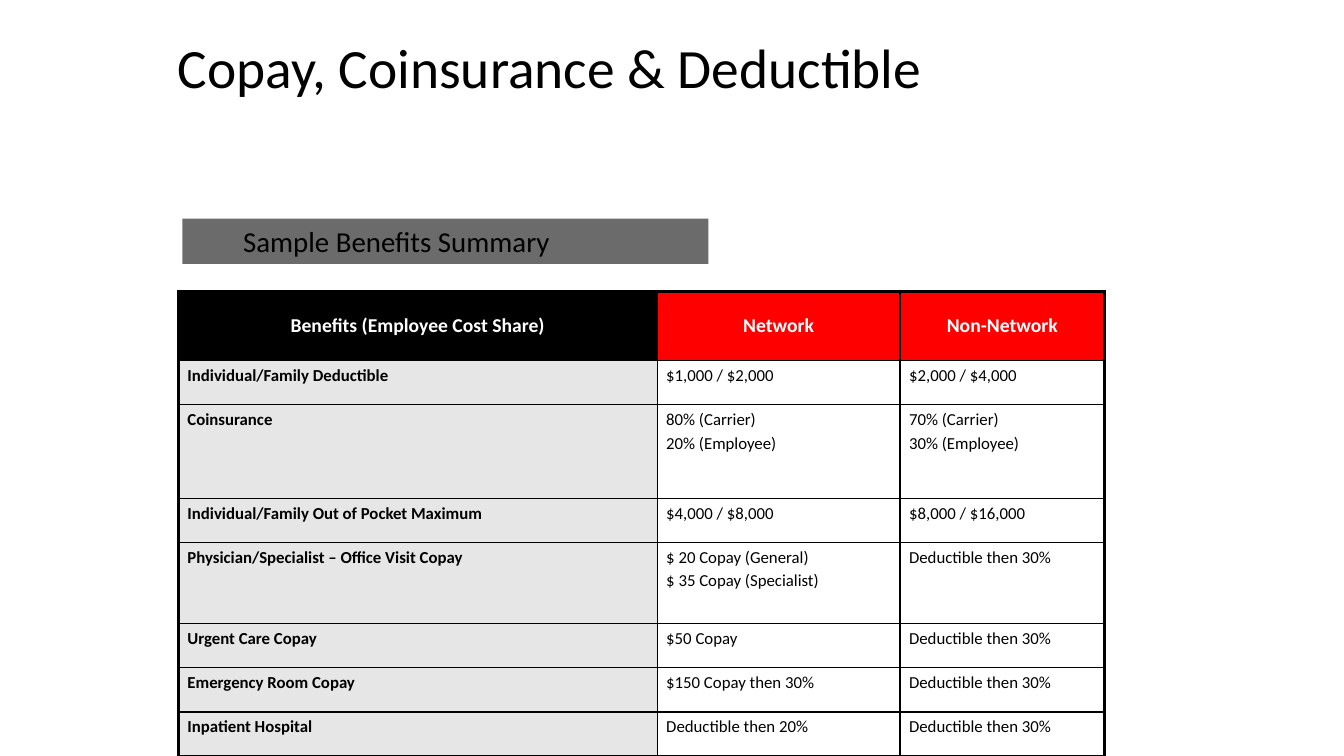
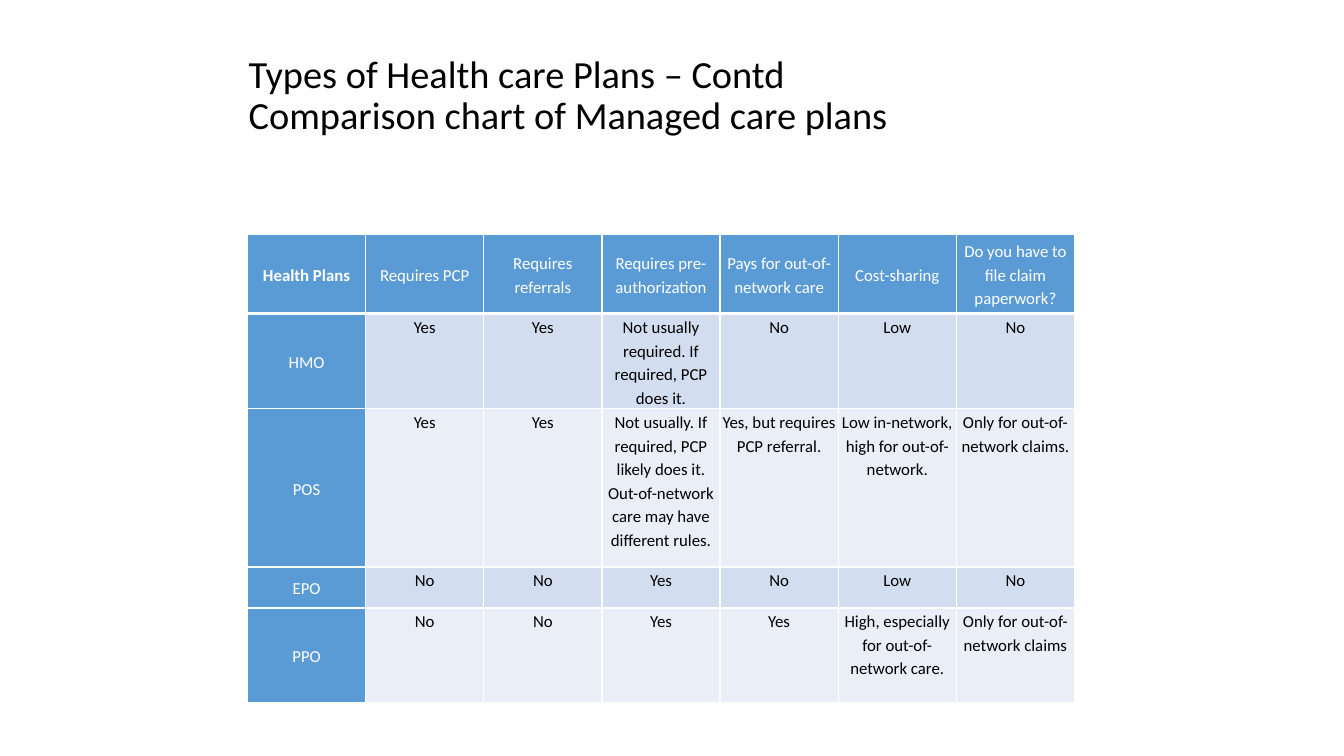
from lxml import etree
from pptx import Presentation
from pptx import util as u
from pptx.dml import color
from pptx.enum import shapes, text
from pptx.oxml import ns

FONT = "Calibri"
BLACK, WHITE, RED = "000000", "FFFFFF", "FF0000"
BANNER, LABEL = "6B6B6B", "E7E6E6"
BLUE, BANDS = "5B9BD5", ("D2DEEF", "EAEFF7")
CENTER, LEFT = text.PP_ALIGN.CENTER, text.PP_ALIGN.LEFT
MIDDLE, TOP = text.MSO_ANCHOR.MIDDLE, text.MSO_ANCHOR.TOP

BENEFITS = [
    ["Benefits (Employee Cost Share)", "Network", "Non-Network"],
    ["Individual/Family Deductible", "$1,000 / $2,000", "$2,000 / $4,000"],
    ["Coinsurance", "80% (Carrier)\n20% (Employee)", "70% (Carrier)\n30% (Employee)"],
    ["Individual/Family Out of Pocket Maximum", "$4,000 / $8,000", "$8,000 / $16,000"],
    ["Physician/Specialist – Office Visit Copay",
     "$ 20 Copay (General)\n$ 35 Copay (Specialist)", "Deductible then 30%"],
    ["Urgent Care Copay", "$50 Copay", "Deductible then 30%"],
    ["Emergency Room Copay", "$150 Copay then 30%", "Deductible then 30%"],
    ["Inpatient Hospital", "Deductible then 20%", "Deductible then 30%"],
]
PLANS = [
    ["Health Plans", "Requires PCP", "Requires referrals", "Requires pre-authorization",
     "Pays for out-of-network care", "Cost-sharing", "Do you have to file claim paperwork?"],
    ["HMO", "Yes", "Yes", "Not usually required. If required, PCP does it.", "No", "Low", "No"],
    ["POS", "Yes", "Yes",
     "Not usually. If required, PCP likely does it. Out-of-network care may have different rules.",
     "Yes, but requires PCP referral.", "Low in-network, high for out-of-network.",
     "Only for out-of-network claims."],
    ["EPO", "No", "No", "Yes", "No", "Low", "No"],
    ["PPO", "No", "No", "Yes", "Yes", "High, especially for out-of-network care.",
     "Only for out-of-network claims"],
]


def rgb(value):
    return color.RGBColor.from_string(value)


def benefit_style(row, col):
    last = len(BENEFITS[0]) - 1
    style = dict(fill=LABEL if col == 0 else None, bold=col == 0, gap=2.4, inset=(6.5, 3.2),
                 edge=BLACK, widths=(2.25 if col == 0 else 1, 2.25 if col == last else 1,
                                     2.25 if row == 0 else 1, 1))
    if row == 0:
        style.update(fill=RED if col else BLACK, ink=WHITE, size=14, bold=True,
                     align=CENTER, anchor=MIDDLE)
    return style


def plan_style(row, col):
    heading = row == 0 or col == 0
    return dict(fill=BLUE if heading else BANDS[(row - 1) % 2], ink=WHITE if heading else BLACK,
                bold=row == col == 0, align=CENTER, anchor=MIDDLE if heading else TOP,
                spacing=1.15, inset=(0.7, 0.7), edge=WHITE, widths=(1, 1, 1, 3 if row == 0 else 1))


class Slides:
    """Holds the deck style and the current page."""

    def __init__(self):
        self.deck = Presentation()
        self.deck.slide_width, self.deck.slide_height = u.Pt(960), u.Pt(540)

    def new_page(self):
        self.page = self.deck.slides.add_slide(self.deck.slide_layouts[6])

    def span(self, para, words, size, ink=BLACK, bold=False):
        span = para.add_run()
        span.text = words
        font = span.font
        font.name, font.size, font.bold = FONT, u.Pt(size), bold
        font.color.rgb = rgb(ink)

    def title(self, lines, left, top, width, height, size):
        box = self.page.shapes.add_textbox(u.Pt(left), u.Pt(top), u.Pt(width), u.Pt(height))
        frame = box.text_frame
        frame.word_wrap, frame.vertical_anchor = True, MIDDLE
        para = frame.paragraphs[0]
        para.line_spacing = 0.9
        for index, line in enumerate(lines):
            if index:
                para.add_line_break()
            self.span(para, line, size)

    def banner(self, words, left, top, width, height, right_inset):
        box = self.page.shapes.add_shape(shapes.MSO_SHAPE.RECTANGLE, u.Pt(left), u.Pt(top),
                                         u.Pt(width), u.Pt(height))
        box.shadow.inherit = False
        box.fill.solid()
        box.fill.fore_color.rgb = rgb(BANNER)
        box.line.fill.background()
        frame = box.text_frame
        frame.word_wrap, frame.vertical_anchor = True, MIDDLE
        frame.margin_right = u.Pt(right_inset)
        frame.paragraphs[0].alignment = CENTER
        self.span(frame.paragraphs[0], words, 20.6)

    def borders(self, cell, edge, widths):
        props = cell._tc.get_or_add_tcPr()
        for side, width in zip("LRTB", widths):
            line = etree.SubElement(props, ns.qn("a:ln" + side), w=str(u.Pt(width)))
            fill = etree.SubElement(line, ns.qn("a:solidFill"))
            etree.SubElement(fill, ns.qn("a:srgbClr"), val=edge)

    def cell(self, cell, words, fill, edge, widths, inset, ink=BLACK, size=12, bold=False,
             align=LEFT, anchor=TOP, spacing=1.0, gap=0):
        self.borders(cell, edge, widths)
        if fill:
            cell.fill.solid()
            cell.fill.fore_color.rgb = rgb(fill)
        else:
            cell.fill.background()
        cell.margin_left = cell.margin_right = u.Pt(inset[0])
        cell.margin_top = cell.margin_bottom = u.Pt(inset[1])
        cell.vertical_anchor = anchor
        frame = cell.text_frame
        for index, line in enumerate(words.split("\n")):
            para = frame.add_paragraph() if index else frame.paragraphs[0]
            para.alignment, para.line_spacing = align, spacing
            if index:
                para.space_before = u.Pt(gap)
            self.span(para, line, size, ink, bold)

    def table(self, data, left, top, widths, heights, style):
        table = self.page.shapes.add_table(len(heights), len(widths), u.Pt(left), u.Pt(top),
                                           u.Pt(sum(widths)), u.Pt(sum(heights))).table
        table.first_row = table.horz_banding = False
        for column, width in zip(table.columns, widths):
            column.width = u.Pt(width)
        for row, (height, entries) in enumerate(zip(heights, data)):
            table.rows[row].height = u.Pt(height)
            for col, words in enumerate(entries):
                self.cell(table.cell(row, col), words, **style(row, col))


def main():
    slides = Slides()

    slides.new_page()
    slides.title(["Copay, Coinsurance & Deductible"], 120, 17.3, 547, 65.5, 39.6)
    slides.banner("Sample Benefits Summary", 130.3, 156.2, 375.8, 32.4, 77)
    slides.table(BENEFITS, 127.4, 208, [342, 173.5, 146.2],
                 [49.7, 31.5, 67, 31.5, 57.9, 31.5, 31.5, 31.5], benefit_style)

    slides.new_page()
    slides.title(["Types of Health care Plans – Contd", "Comparison chart of Managed care plans"],
                 170.6, 0, 496, 138.2, 27.4)
    slides.table(PLANS, 176.8, 167.5, [84.4] * 7, [56.5, 68, 113, 29.3, 67.3], plan_style)

    slides.deck.save("out.pptx")


if __name__ == "__main__":
    main()
